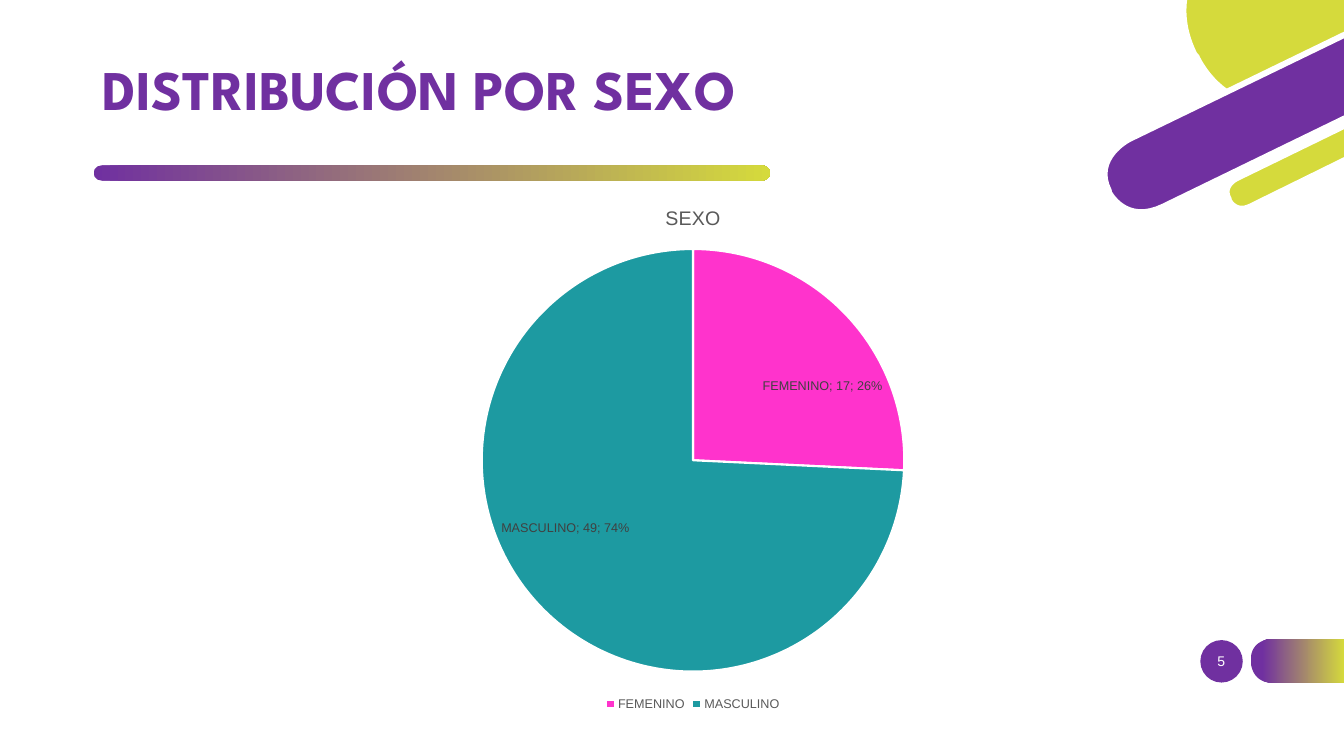
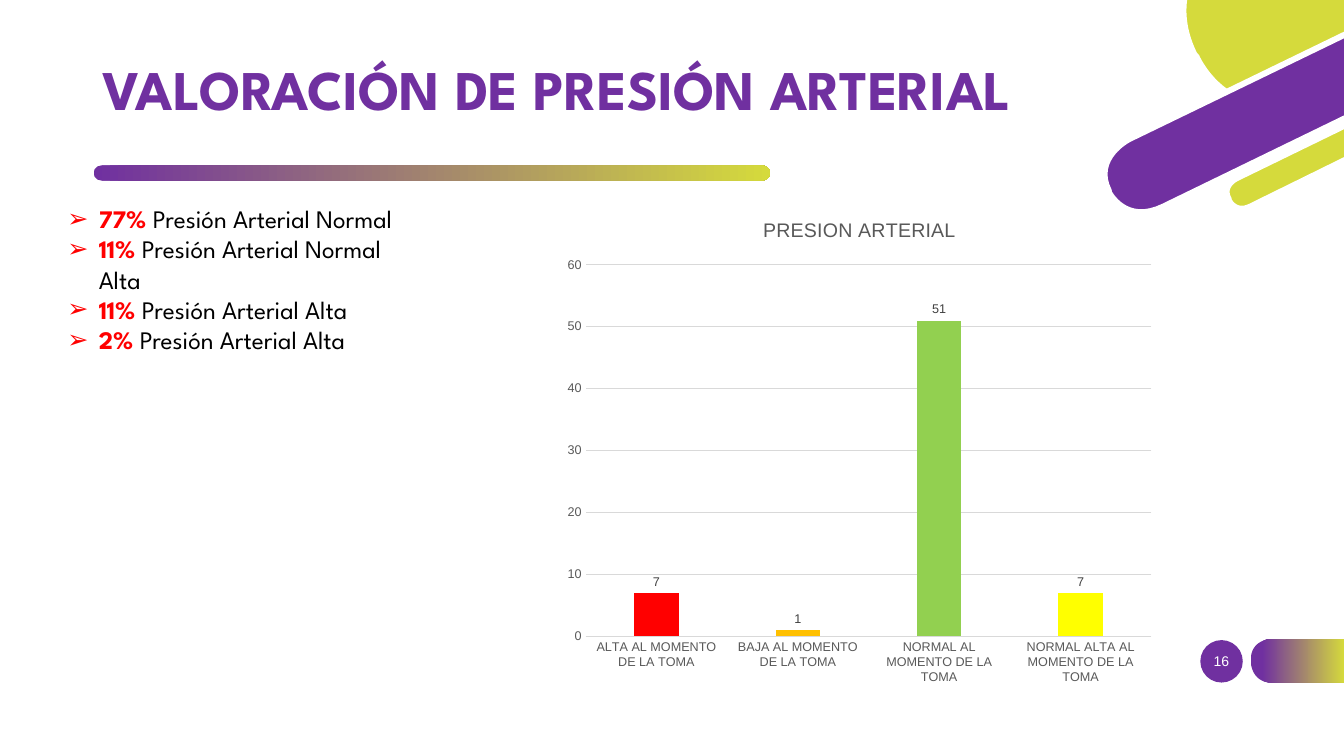
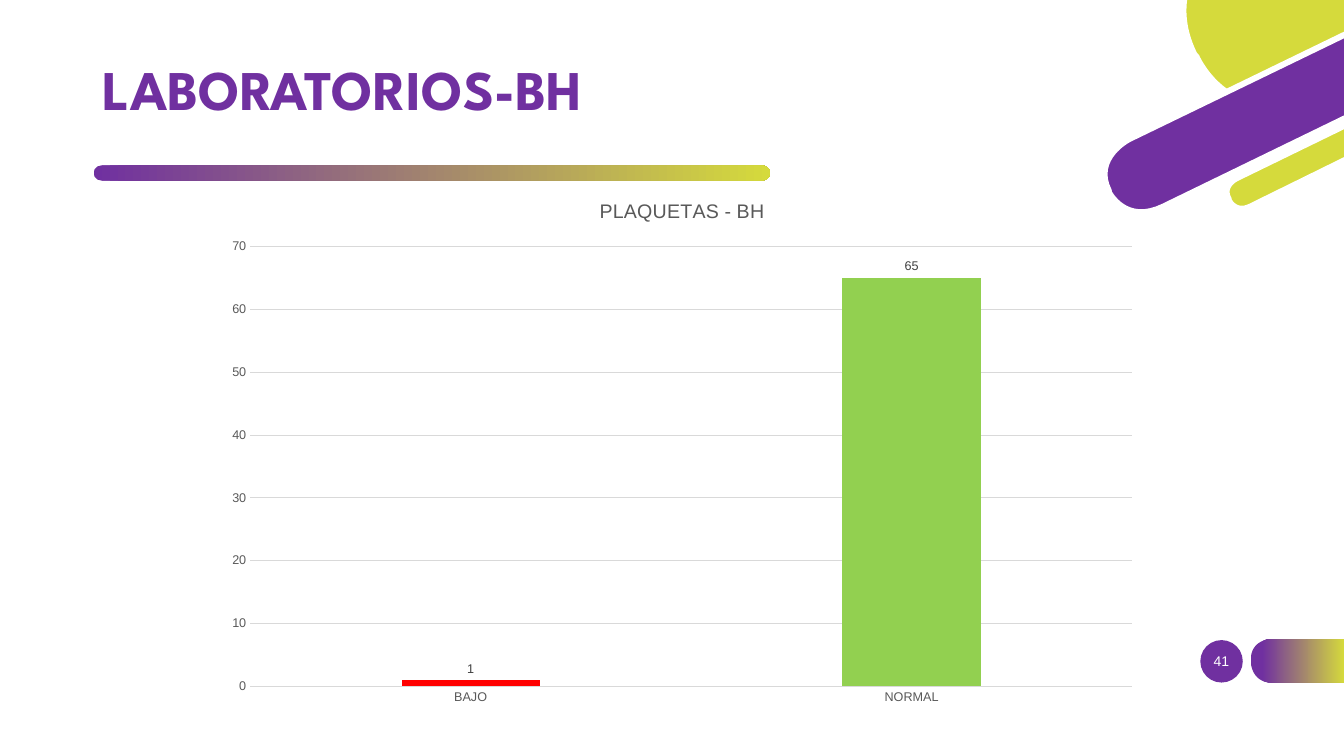
import pptx
import pptx.chart.data
import pptx.dml.color
import pptx.enum.chart
import pptx.enum.shapes
import pptx.enum.text
import pptx.oxml
import pptx.oxml.ns
import pptx.util

Cm, Pt = pptx.util.Cm, pptx.util.Pt
ChartKind = pptx.enum.chart.XL_CHART_TYPE
LabelPlace = pptx.enum.chart.XL_LABEL_POSITION
Preset = pptx.enum.shapes.MSO_SHAPE
Align = pptx.enum.text.PP_ALIGN

COLORS = {
    "purple": "7030A0", "lime": "D5DA3C", "white": "FFFFFF", "black": "000000",
    "red": "FF0000", "orange": "FFC000", "green": "92D050", "yellow": "FFFF00",
    "pink": "FF33CC", "teal": "1D9AA1",
    "axis text": "595959", "label text": "404040", "grid": "D9D9D9",
}
TITLE_FONT, PLAIN_FONT = "League Spartan", "Arial"

# Outlines in cm: a pair is a line end, six numbers are a cubic curve.
LIME_DISC = [
    (30.18, 1.42), (30.18, 1.42, 30.4, 1.93, 30.91, 2.29), (34, 0.79),
    (34, -0.15), (29.85, -0.15), (29.87, 0),
    (29.82, 0.38, 29.87, 0.84, 30.12, 1.35),
]
PURPLE_BAR = [
    (28.47, 3.53), (28.47, 3.53, 27.56, 3.99, 27.97, 4.8), (27.97, 4.83),
    (27.97, 4.83, 28.37, 5.64, 29.31, 5.18), (34, 2.9), (34, 0.85),
]
LIME_BAR = [
    (34, 3.14), (31.17, 4.52), (31.17, 4.52, 30.81, 4.7, 30.99, 5),
    (30.99, 5.03), (30.99, 5.03, 31.14, 5.36, 31.5, 5.18), (34, 3.95),
]
PAGE_TAB = [
    (32.05, 17.2), (33.88, 17.2), (33.88, 16.1), (32.05, 16.1),
    (32.05, 16.1, 31.52, 16.1, 31.52, 16.64), (31.52, 16.66),
    (31.52, 16.66, 31.52, 17.2, 32.05, 17.2),
]

SLIDES = [
    {
        "page": "5", "title": "DISTRIBUCIÓN POR SEXO",
        "chart": {
            "title": "SEXO", "at": (5.54, 4.67, 23.85, 13.36),
            "points": [("FEMENINO", 17, "pink"), ("MASCULINO", 49, "teal")],
        },
    },
    {
        "page": "16", "title": "VALORACIÓN DE PRESIÓN ARTERIAL",
        "findings": [
            ("77% ", "Presión Arterial Normal"),
            ("11% ", "Presión Arterial Normal Alta"),
            ("11% ", "Presión Arterial Alta"),
            ("2% ", "Presión Arterial Alta"),
        ],
        "chart": {
            "title": "PRESION ARTERIAL", "at": (14, 5, 15.32, 12.5), "top": 60,
            "points": [
                ("ALTA AL MOMENTO DE LA TOMA", 7, "red"),
                ("BAJA AL MOMENTO DE LA TOMA", 1, "orange"),
                ("NORMAL AL MOMENTO DE LA TOMA", 51, "green"),
                ("NORMAL ALTA AL MOMENTO DE LA TOMA", 7, "yellow"),
            ],
        },
    },
    {
        "page": "41", "title": "LABORATORIOS-BH",
        "chart": {
            "title": "PLAQUETAS - BH", "at": (5.38, 4.5, 23.62, 13.54), "top": 70,
            "points": [("BAJO", 1, "red"), ("NORMAL", 65, "green")],
        },
    },
]


def rgb(name):
    return pptx.dml.color.RGBColor.from_string(COLORS[name])


def paint(fill, color):
    fill.solid()
    fill.fore_color.rgb = rgb(color)


def blend(fill, start=0):
    """Fill from purple on the left to lime on the right."""
    fill.gradient()
    fill.gradient_angle = 0
    for stop, color, position in zip(fill.gradient_stops, ("purple", "lime"), (start, 1)):
        stop.color.rgb = rgb(color)
        stop.position = position


def style(font, size, color=None, name=PLAIN_FONT, bold=False):
    font.size, font.name, font.bold = Pt(size), name, bold
    if color:
        font.color.rgb = rgb(color)


def flatten(outline, steps=16):
    """Turn the curves of an outline into short lines."""
    points = [outline[0]]
    for part in outline[1:]:
        if len(part) == 2:
            points.append(part)
            continue
        knots = [points[-1], part[:2], part[2:4], part[4:]]
        for step in range(1, steps + 1):
            t = step / steps
            weights = ((1 - t) ** 3, 3 * t * (1 - t) ** 2, 3 * t * t * (1 - t), t ** 3)
            points.append(tuple(
                sum(w * knot[axis] for w, knot in zip(weights, knots)) for axis in (0, 1)))
    return [(Cm(x), Cm(y)) for x, y in points]


def add_outline(shapes, outline):
    first, *rest = flatten(outline)
    builder = shapes.build_freeform(*first)
    builder.add_line_segments(rest, close=True)
    shape = builder.convert_to_shape()
    shape.shadow.inherit = False
    return shape


def add_preset(shapes, preset, box):
    shape = shapes.add_shape(preset, *map(Cm, box))
    shape.shadow.inherit = False
    shape.line.fill.background()
    return shape


def decorate(layout, slide):
    """Draw the shared decoration and move it to the layout."""
    for placeholder in list(layout.placeholders):
        placeholder.element.getparent().remove(placeholder.element)
    shapes = slide.shapes
    paint(add_preset(shapes, Preset.OVAL, (30.25, 16.13, 1.07, 1.07)).fill, "purple")
    page_tab = add_outline(shapes, PAGE_TAB)
    page_tab.line.fill.background()
    blend(page_tab.fill, 0.12)
    for outline, color in ((LIME_DISC, "lime"), (PURPLE_BAR, "purple"), (LIME_BAR, "lime")):
        ribbon = add_outline(shapes, outline)
        paint(ribbon.fill, color)
        ribbon.line.color.rgb = rgb("white")
        ribbon.line.width = Pt(2.75)
    rule = add_preset(shapes, Preset.ROUNDED_RECTANGLE, (2.36, 4.17, 17.05, 0.38))
    rule.adjustments[0] = 0.5
    blend(rule.fill)
    tree = layout.element.cSld.spTree
    for shape in list(shapes):
        tree.append(shape.element)


def add_text_box(slide, box, anchor=pptx.enum.text.MSO_ANCHOR.MIDDLE):
    frame = slide.shapes.add_textbox(*map(Cm, box)).text_frame
    frame.word_wrap = True
    frame.vertical_anchor = anchor
    return frame


def add_heading(slide, page, title):
    number = add_text_box(slide, (30.02, 16.15, 1.52, 1.02)).paragraphs[0]
    number.text = page
    number.alignment = Align.CENTER
    style(number.font, 10, "white")
    heading = add_text_box(slide, (2.34, 1.02, 25.15, 2.62)).paragraphs[0]
    heading.line_spacing = 0.9
    run = heading.add_run()
    run.text = title
    style(heading.font, 40, name=TITLE_FONT, bold=True)
    blend(run.font.fill)


def add_bullet(paragraph, color):
    properties = paragraph._p.get_or_add_pPr()
    properties.set("marL", str(Cm(0.79)))
    properties.set("indent", str(-Cm(0.79)))
    namespace = pptx.oxml.ns.nsdecls("a")
    for xml in (
        f'<a:buClr {namespace}><a:srgbClr val="{COLORS[color]}"/></a:buClr>',
        f'<a:buFont {namespace} typeface="{PLAIN_FONT}"/>',
        f'<a:buChar {namespace} char="➢"/>',
    ):
        properties.append(pptx.oxml.parse_xml(xml))


def add_findings(slide, findings):
    frame = add_text_box(slide, (1.45, 5, 9.19, 5.64), pptx.enum.text.MSO_ANCHOR.TOP)
    for index, (share, meaning) in enumerate(findings):
        paragraph = frame.add_paragraph() if index else frame.paragraphs[0]
        add_bullet(paragraph, "red")
        paragraph.font.size, paragraph.font.name = Pt(18), TITLE_FONT
        for text, color, bold in ((share, "red", True), (meaning, "black", False)):
            run = paragraph.add_run()
            run.text = text
            run.font.bold = bold
            run.font.color.rgb = rgb(color)


def format_pie(chart, labels):
    chart.has_legend = True
    chart.legend.position = pptx.enum.chart.XL_LEGEND_POSITION.BOTTOM
    chart.legend.include_in_layout = False
    style(chart.legend.font, 9, "axis text")
    labels.show_category_name = labels.show_percentage = True
    labels.position = LabelPlace.BEST_FIT
    for point in chart.plots[0].series[0].points:
        point.format.line.color.rgb = rgb("white")
        point.format.line.width = Pt(1.5)


def format_columns(chart, labels, top):
    chart.has_legend = False
    labels.position = LabelPlace.OUTSIDE_END
    chart.plots[0].gap_width, chart.plots[0].overlap = 219, -27
    categories, values = chart.category_axis, chart.value_axis
    for axis in (categories, values):
        axis.major_tick_mark = axis.minor_tick_mark = pptx.enum.chart.XL_TICK_MARK.NONE
        style(axis.tick_labels.font, 9, "axis text")
    values.minimum_scale, values.maximum_scale, values.major_unit = 0, top, 10
    values.format.line.fill.background()
    values.has_major_gridlines = True
    for line in (categories.format.line, values.major_gridlines.format.line):
        line.color.rgb = rgb("grid")
        line.width = Pt(0.75)


def add_chart(slide, title, at, points, top=None):
    """Add a column chart up to the given top value, or a pie without one."""
    names, amounts, colors = zip(*points)
    data = pptx.chart.data.CategoryChartData()
    data.categories = names
    data.add_series("Series 1", amounts)
    kind = ChartKind.COLUMN_CLUSTERED if top else ChartKind.PIE
    chart = slide.shapes.add_chart(kind, *map(Cm, at), data).chart
    style(chart.font, 10, "black")
    chart.has_title = True
    chart.chart_title.include_in_layout = False
    heading = chart.chart_title.text_frame.paragraphs[0]
    heading.text = title
    style(heading.font, 14, "axis text")
    plot = chart.plots[0]
    plot.vary_by_categories = not top
    plot.has_data_labels = True
    labels = plot.data_labels
    labels.show_value = True
    style(labels.font, 9, "label text")
    for index, color in enumerate(colors):
        paint(plot.series[0].points[index].format.fill, color)
    if top:
        format_columns(chart, labels, top)
    else:
        format_pie(chart, labels)


def main():
    deck = pptx.Presentation()
    deck.slide_width, deck.slide_height = Cm(33.87), Cm(19.05)
    blank = deck.slide_layouts[6]
    for index, content in enumerate(SLIDES):
        slide = deck.slides.add_slide(blank)
        if index == 0:
            decorate(blank, slide)
        add_heading(slide, content["page"], content["title"])
        if "findings" in content:
            add_findings(slide, content["findings"])
        add_chart(slide, **content["chart"])
    deck.save("out.pptx")


if __name__ == "__main__":
    main()
